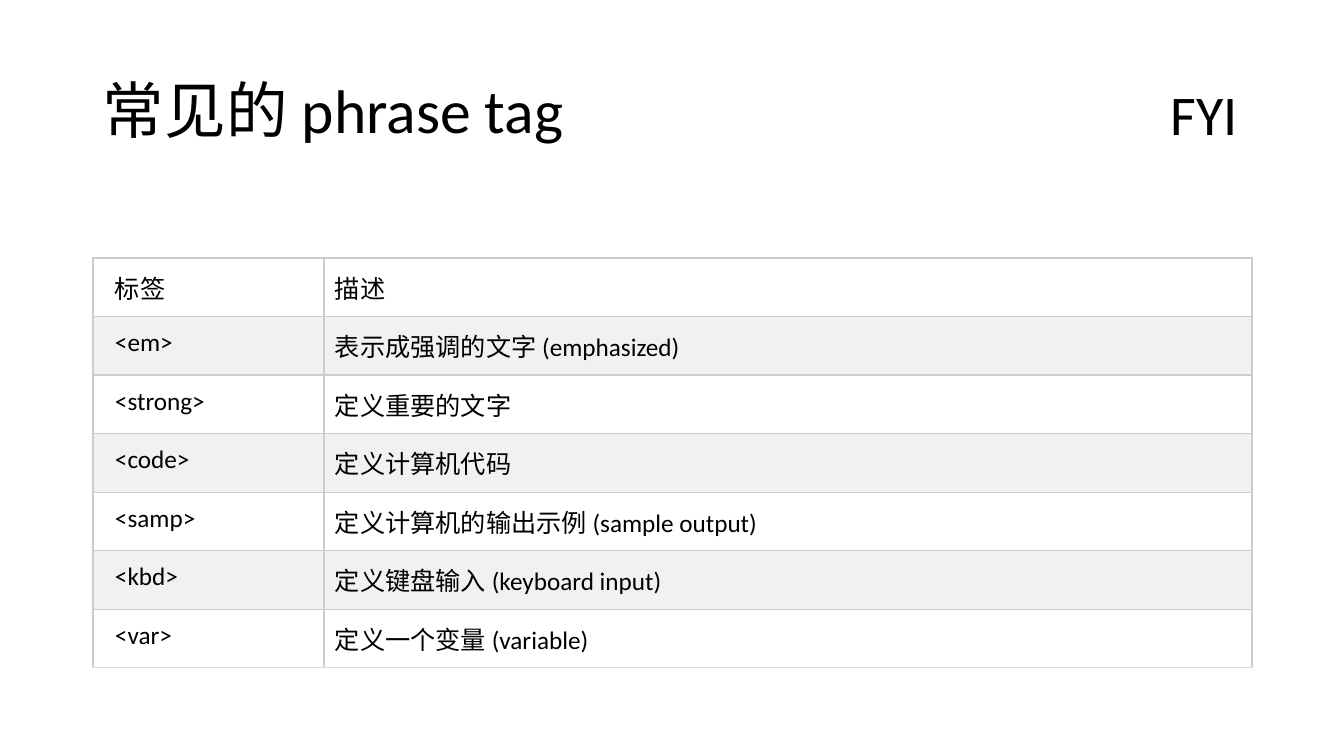
from lxml.etree import SubElement
from pptx import Presentation
from pptx.dml.color import RGBColor
from pptx.enum.text import MSO_ANCHOR
from pptx.oxml.ns import qn
from pptx.util import Emu, Pt

BLACK = RGBColor(0x00, 0x00, 0x00)
WHITE = RGBColor(0xFF, 0xFF, 0xFF)
BAND = RGBColor(0xF1, 0xF1, 0xF1)
RULE = RGBColor(0xCC, 0xCC, 0xCC)
LAST_RULE = RGBColor(0xDD, 0xDD, 0xDD)
FONT = "Calibri"
TAG_ROWS = [
    ("标签", "描述"),
    ("<em>", "表示成强调的文字 (emphasized)"),
    ("<strong>", "定义重要的文字"),
    ("<code>", "定义计算机代码"),
    ("<samp>", "定义计算机的输出示例 (sample output)"),
    ("<kbd>", "定义键盘输入 (keyboard input)"),
    ("<var>", "定义一个变量 (variable)"),
]


def px(n):
    """Turn pixels into EMU."""
    return Emu(round(n * 914400 / 100.8))


def write(tf, text, size):
    """Write one black paragraph."""
    p = tf.paragraphs[0]
    p.text = text
    p.font.name, p.font.size = FONT, Pt(size)
    p.font.color.rgb = BLACK
    return p


def add_text(slide, box, text, size, wrap=True, anchor=MSO_ANCHOR.TOP):
    """Place a text box and return its paragraph."""
    tf = slide.shapes.add_textbox(*map(px, box)).text_frame
    tf.word_wrap, tf.vertical_anchor = wrap, anchor
    return write(tf, text, size)


def add_heading(slide, box):
    """Place the title and the note at its right end."""
    left, top, width, height = box
    p = add_text(slide, box, "常见的 phrase tag", 44, anchor=MSO_ANCHOR.MIDDLE)
    p.line_spacing = 0.9
    note_width = 91
    note = (left + width - note_width, top + 34, note_width, 78)
    add_text(slide, note, "FYI", 40, wrap=False)


def set_borders(cell, bottom):
    """Draw one-point rules on the four sides of a cell."""
    tc_pr = cell._tc.get_or_add_tcPr()
    for side, color in zip("LRTB", (RULE, RULE, RULE, bottom)):
        ln = SubElement(tc_pr, qn(f"a:ln{side}"), w=str(Pt(1)))
        fill = SubElement(ln, qn("a:solidFill"))
        SubElement(fill, qn("a:srgbClr"), val=str(color))


def add_tag_table(slide, box):
    """Place the banded table of tags."""
    table = slide.shapes.add_table(len(TAG_ROWS), 2, *map(px, box)).table
    table.first_row = table.horz_banding = False
    width = box[2]
    tag_width = width // 5
    table.columns[0].width = px(tag_width)
    table.columns[1].width = px(width - tag_width)
    for i, row in enumerate(TAG_ROWS):
        bottom = LAST_RULE if i == len(TAG_ROWS) - 1 else RULE
        for j, text in enumerate(row):
            cell = table.cell(i, j)
            cell.margin_left = px(11 if j else 22)
            cell.margin_top = cell.margin_right = cell.margin_bottom = px(11)
            write(cell.text_frame, text, 18)
            set_borders(cell, bottom)
            cell.fill.solid()
            cell.fill.fore_color.rgb = BAND if i % 2 else WHITE


def main():
    """Build and save the slide."""
    prs = Presentation()
    prs.slide_width, prs.slide_height = px(1344), px(756)
    slide = prs.slides.add_slide(prs.slide_layouts[6])
    add_heading(slide, (93, 41, 1159, 146))
    add_tag_table(slide, (93, 258, 1159, 410))
    prs.save("out.pptx")


main()
